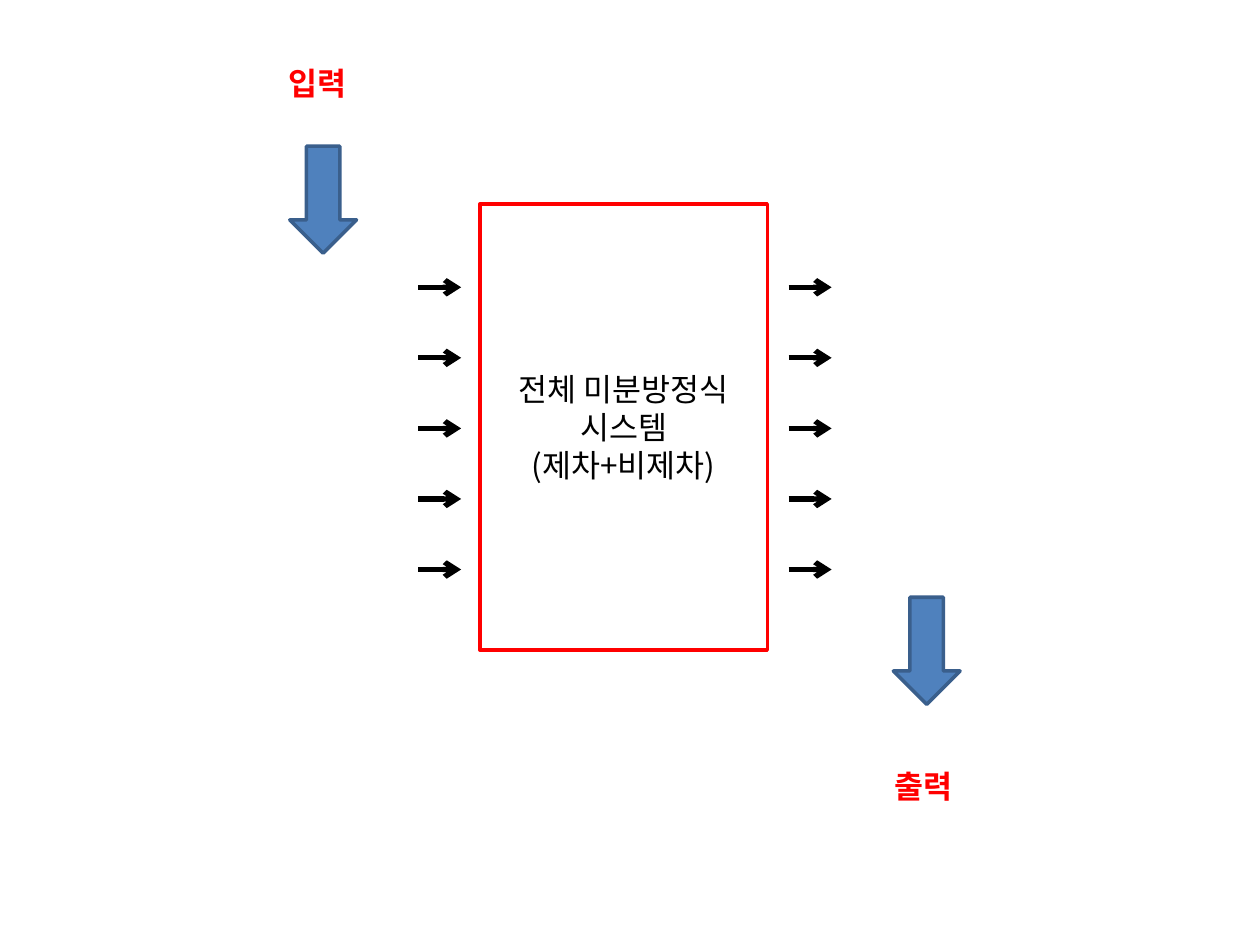
from lxml.etree import SubElement
from pptx import Presentation
from pptx.dml.color import RGBColor
from pptx.enum.shapes import MSO_CONNECTOR as Connector, MSO_SHAPE as Shape
from pptx.enum.text import MSO_ANCHOR as Anchor, MSO_AUTO_SIZE as AutoSize, PP_ALIGN as Align
from pptx.oxml.ns import qn
from pptx.util import Inches, Pt

FONT = "Noto Sans CJK KR"
COLORS = {
    "accent": "FF0000",
    "text": "000000",
    "arrow": "4F81BD",
    "arrow_edge": "3A5F8C",
}
COLORS = {name: RGBColor.from_string(value) for name, value in COLORS.items()}


def style_text(para, color, bold=False):
    """Set the font for Latin and East Asian characters alike."""
    font = para.font
    font.size, font.bold, font.name = Pt(18), bold, FONT
    font.color.rgb = COLORS[color]
    defaults = para._p.get_or_add_pPr().find(qn("a:defRPr"))
    SubElement(defaults, qn("a:ea"), typeface=FONT)


def outline(shape, color):
    shape.shadow.inherit = False
    shape.line.color.rgb = COLORS[color]
    shape.line.width = Pt(2)


deck = Presentation()
deck.slide_width, deck.slide_height = Inches(10), Inches(7.5)
page = deck.slides.add_slide(deck.slide_layouts[6])
shapes = page.shapes

# System box
system = shapes.add_shape(
    Shape.FLOWCHART_PROCESS, Inches(3.81), Inches(1.62), Inches(2.28), Inches(3.54)
)
system.fill.background()
outline(system, "accent")
frame = system.text_frame
frame.word_wrap = True
frame.vertical_anchor = Anchor.MIDDLE
frame.text = "전체 미분방정식\n시스템\n(제차+비제차)"
for para in frame.paragraphs:
    para.alignment = Align.CENTER
    style_text(para, "text")

# Signals entering and leaving the system
FIRST_ROW, ROW_STEP, SIGNAL_LENGTH = 2.28, 0.56, 0.34
for left in (3.32, 6.26):
    for row in range(5):
        y = Inches(FIRST_ROW + row * ROW_STEP)
        signal = shapes.add_connector(
            Connector.STRAIGHT, Inches(left), y, Inches(left + SIGNAL_LENGTH), y
        )
        signal.line.color.rgb = COLORS["text"]
        signal.line.width = Pt(3)
        SubElement(signal.line._get_or_add_ln(), qn("a:tailEnd"), type="arrow")
        SubElement(signal._element.spPr, qn("a:effectLst"))

# Block arrows for the input and output sides
for left, top in ((2.3, 1.16), (7.09, 4.74)):
    arrow = shapes.add_shape(
        Shape.DOWN_ARROW, Inches(left), Inches(top), Inches(0.53), Inches(0.85)
    )
    arrow.fill.solid()
    arrow.fill.fore_color.rgb = COLORS["arrow"]
    outline(arrow, "arrow_edge")

# Labels
for text, left, top in (("입력", 2.19, 0.46), ("출력", 7, 6.04)):
    label = shapes.add_textbox(Inches(left), Inches(top), Inches(0.71), Inches(0.4))
    frame = label.text_frame
    frame.word_wrap = False
    frame.auto_size = AutoSize.SHAPE_TO_FIT_TEXT
    frame.text = text
    style_text(frame.paragraphs[0], "accent", bold=True)

deck.save("out.pptx")
